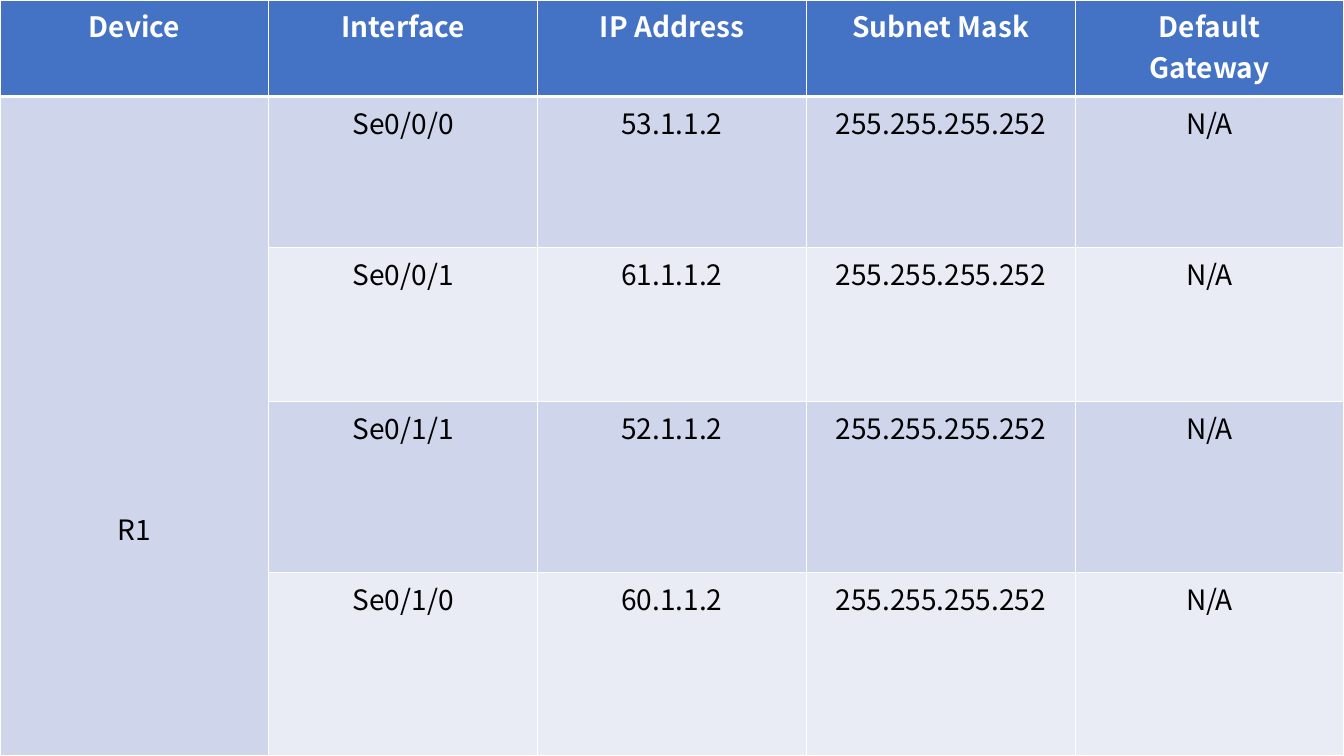
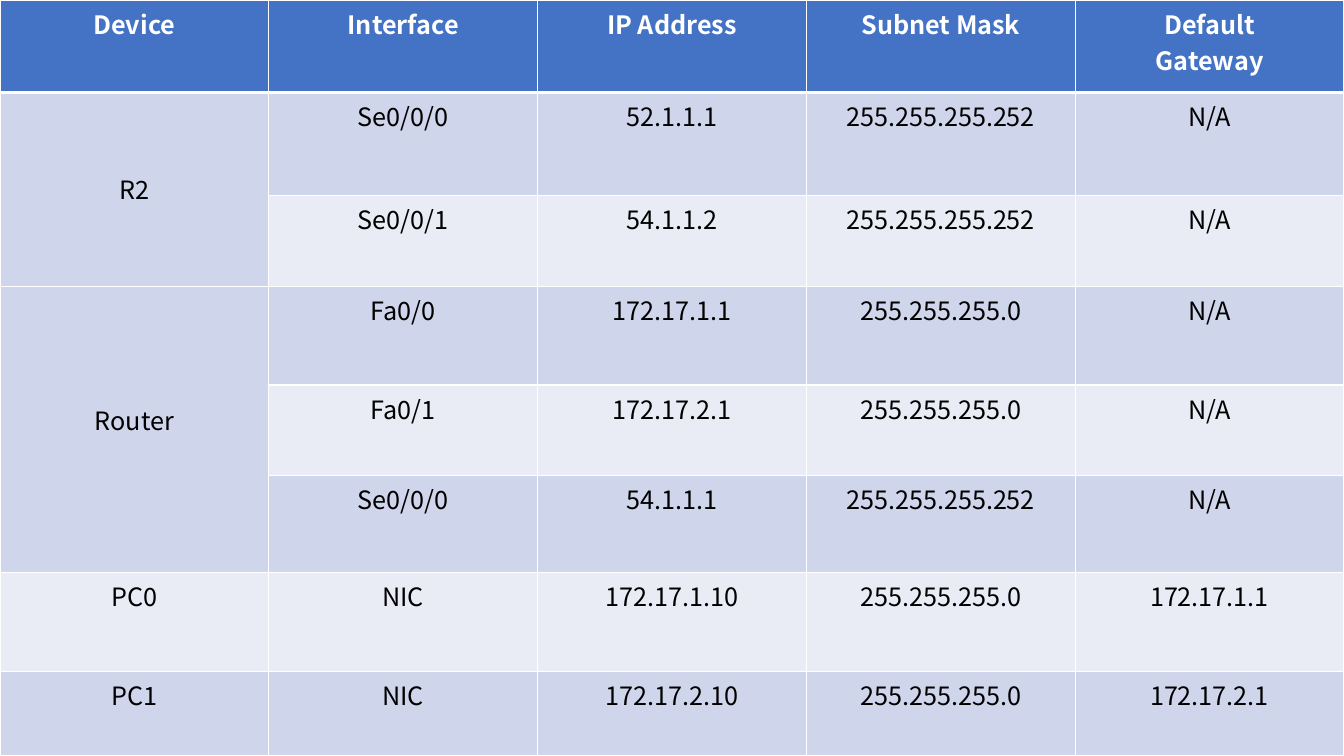
import dataclasses

import lxml.etree
import pptx
import pptx.dml.color
import pptx.enum.text
import pptx.oxml.ns
import pptx.util

Pt = pptx.util.Pt


@dataclasses.dataclass(frozen=True)
class Theme:
    font: str = "Noto Sans CJK KR"
    header_fill: str = "4472C4"
    header_text: str = "FFFFFF"
    body_text: str = "000000"
    bands: tuple = ("E9EBF5", "CFD5EA")
    rule: str = "FFFFFF"
    thin_rule: float = 1
    thick_rule: float = 3
    large: int = 20
    small: int = 18
    line_height: float = 1.45
    cell_margin: float = 3.6


THEME = Theme()
WIDTH, HEIGHT = 960, 540
HEADINGS = ["Device", "Interface", "IP Address", "Subnet Mask", "Default\nGateway"]
LINK_MASK = "255.255.255.252"
LAN_MASK = "255.255.255.0"

R1_DEVICES = [
    ("R1", 10, [
        ("Se0/0/0", "53.1.1.2", LINK_MASK, "N/A"),
        ("Se0/0/1", "61.1.1.2", LINK_MASK, "N/A"),
        ("Se0/1/1", "52.1.1.2", LINK_MASK, "N/A"),
        ("Se0/1/0", "60.1.1.2", LINK_MASK, "N/A"),
    ]),
]
OTHER_DEVICES = [
    ("R2", 2, [
        ("Se0/0/0", "52.1.1.1", LINK_MASK, "N/A"),
        ("Se0/0/1", "54.1.1.2", LINK_MASK, "N/A"),
    ]),
    ("Router", 3, [
        ("Fa0/0", "172.17.1.1", LAN_MASK, "N/A"),
        ("Fa0/1", "172.17.2.1", LAN_MASK, "N/A"),
        ("Se0/0/0", "54.1.1.1", LINK_MASK, "N/A"),
    ]),
    ("PC0", 0, [("NIC", "172.17.1.10", LAN_MASK, "172.17.1.1")]),
    ("PC1", 0, [("NIC", "172.17.2.10", LAN_MASK, "172.17.2.1")]),
]


def write_text(frame, text, *, size, color, bold=False):
    for index, line in enumerate(text.split("\n")):
        paragraph = frame.add_paragraph() if index else frame.paragraphs[0]
        paragraph.alignment = pptx.enum.text.PP_ALIGN.CENTER
        run = paragraph.add_run()
        run.text = line
        run.font.name = THEME.font
        run.font.size = Pt(size)
        run.font.bold = bold
        run.font.color.rgb = pptx.dml.color.RGBColor.from_string(color)


class AddressDeck:
    def __init__(self, theme):
        self.theme = theme
        self.presentation = pptx.Presentation()
        self.presentation.slide_width = Pt(WIDTH)
        self.presentation.slide_height = Pt(HEIGHT)
        self.slide = None

    def new_slide(self):
        blank = self.presentation.slide_layouts[6]
        self.slide = self.presentation.slides.add_slide(blank)

    def border(self, cell, side, width):
        qn = pptx.oxml.ns.qn
        properties = cell._tc.get_or_add_tcPr()
        line = lxml.etree.SubElement(properties, qn(f"a:ln{side}"), w=str(Pt(width)))
        fill = lxml.etree.SubElement(line, qn("a:solidFill"))
        lxml.etree.SubElement(fill, qn("a:srgbClr"), val=self.theme.rule)

    def style_cell(self, cell, row):
        theme = self.theme
        top = theme.thick_rule if row == 1 else theme.thin_rule
        bottom = theme.thick_rule if row == 0 else theme.thin_rule
        widths = {"L": theme.thin_rule, "R": theme.thin_rule, "T": top, "B": bottom}
        for side, width in widths.items():
            self.border(cell, side, width)
        color = theme.bands[row % 2] if row else theme.header_fill
        cell.fill.solid()
        cell.fill.fore_color.rgb = pptx.dml.color.RGBColor.from_string(color)

    def address_table(self, devices, heights, size):
        theme = self.theme
        frame = self.slide.shapes.add_table(
            len(heights), len(HEADINGS), Pt(0), Pt(0), Pt(WIDTH), Pt(HEIGHT))
        table = frame.table
        for column in table.columns:
            column.width = Pt(WIDTH / len(HEADINGS))
        for row, height in enumerate(heights):
            table.rows[row].height = Pt(height)
            for cell in table.rows[row].cells:
                self.style_cell(cell, row)
        for column, heading in enumerate(HEADINGS):
            write_text(table.cell(0, column).text_frame, heading,
                       size=size, color=theme.header_text, bold=True)

        row = 1
        for device, lines_above, interfaces in devices:
            label = table.cell(row, 0)
            if len(interfaces) > 1:
                label.merge(table.cell(row + len(interfaces) - 1, 0))
            label.margin_top = Pt(
                theme.cell_margin + lines_above * size * theme.line_height)
            write_text(label.text_frame, device, size=size, color=theme.body_text)
            for interface in interfaces:
                for column, value in enumerate(interface, start=1):
                    write_text(table.cell(row, column).text_frame, value,
                               size=size, color=theme.body_text)
                row += 1


def main():
    deck = AddressDeck(THEME)
    deck.new_slide()
    deck.address_table(R1_DEVICES, [69, 108, 110, 122, 131], THEME.large)
    deck.new_slide()
    deck.address_table(
        OTHER_DEVICES, [66, 73.5, 65, 70.5, 64.5, 69.5, 70.5, 60.5], THEME.small)
    deck.presentation.save("out.pptx")


if __name__ == "__main__":
    main()
